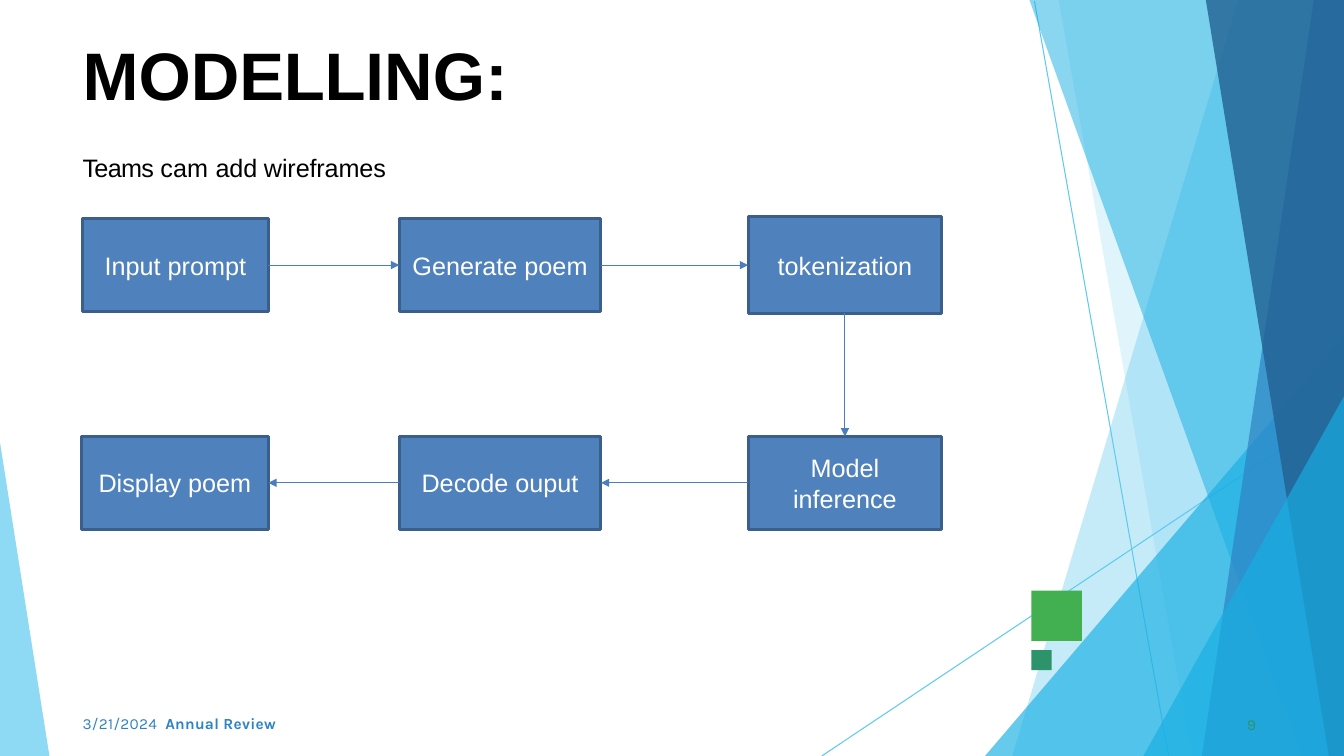
from dataclasses import dataclass

from lxml import etree
from pptx import Presentation
from pptx.dml.color import RGBColor
from pptx.enum.shapes import MSO_CONNECTOR, MSO_SHAPE
from pptx.enum.text import MSO_ANCHOR, MSO_AUTO_SIZE, PP_ALIGN
from pptx.oxml.ns import qn
from pptx.util import Inches, Pt

RECTANGLE = MSO_SHAPE.RECTANGLE
STRAIGHT = MSO_CONNECTOR.STRAIGHT
TOP, MIDDLE = MSO_ANCHOR.TOP, MSO_ANCHOR.MIDDLE
LEFT, CENTER = PP_ALIGN.LEFT, PP_ALIGN.CENTER
NO_FIT = MSO_AUTO_SIZE.NONE
SITE_TOP, SITE_LEFT, SITE_BOTTOM, SITE_RIGHT = range(4)
WIDTH, HEIGHT = 13.33, 7.5


@dataclass(frozen=True)
class Theme:
    body_font: str = "Arial"
    footer_font: str = "Karla"
    title_size: float = 48
    body_size: float = 18
    footer_size: float = 11
    black: str = "000000"
    white: str = "FFFFFF"
    sky: str = "5FCAEE"
    cyan: str = "17AFE3"
    blue: str = "2D83C3"
    navy: str = "226192"
    green: str = "42AF51"
    teal: str = "2D936B"
    step_fill: str = "4F81BD"
    step_line: str = "3A5F8C"
    arrow: str = "4B7EBC"


class SlideBuilder:
    def __init__(self, slide, theme):
        self.slide, self.shapes, self.theme = slide, slide.shapes, theme

    def paint(self, shape, fill, line=None, opacity=100):
        shape.shadow.inherit = False
        shape.fill.solid()
        shape.fill.fore_color.rgb = RGBColor.from_string(fill)
        if opacity < 100:
            color = shape._element.spPr.find(qn("a:solidFill"))[0]
            etree.SubElement(color, qn("a:alpha")).set("val", str(opacity * 1000))
        if line:
            shape.line.color.rgb = RGBColor.from_string(line)
            shape.line.width = Pt(2)
        else:
            shape.line.fill.background()

    def set_text(self, frame, spans, frame_format, para_format, font_format, color):
        """Fill a frame with one paragraph of (text, spacing, bold) spans."""
        for name, value in frame_format.items():
            setattr(frame, name, value)
        para = frame.paragraphs[0]
        for name, value in para_format.items():
            setattr(para, name, value)
        for text, spacing, bold in spans:
            span = para.add_run()
            span.text = text
            for name, value in {**font_format, "bold": bold}.items():
                setattr(span.font, name, value)
            span.font.color.rgb = RGBColor.from_string(color)
            span._r.get_or_add_rPr().set("spc", str(round(spacing * 100)))

    def label(self, shape, place, spans, font, size, color, inset=0.0, **para_format):
        for name, value in zip(("left", "top", "width", "height"), place):
            setattr(shape, name, Inches(value))
        frame_format = {
            "word_wrap": True, "auto_size": NO_FIT, "vertical_anchor": TOP,
            "margin_left": Inches(inset), "margin_top": Inches(0.01),
            "margin_right": 0, "margin_bottom": 0,
        }
        self.set_text(shape.text_frame, spans, frame_format,
                      {"alignment": LEFT, **para_format},
                      {"name": font, "size": Pt(size)}, color)

    def title(self, place, spans):
        self.label(self.shapes.title, place, spans, self.theme.body_font,
                   self.theme.title_size, self.theme.black, 0.01,
                   space_before=Pt(1.1), line_spacing=1.0)

    def text(self, place, spans, font, size, color, inset=0.0, **para_format):
        box = self.shapes.add_textbox(*map(Inches, place))
        self.label(box, place, spans, font, size, color, inset, **para_format)

    def facet(self, points, fill, opacity):
        start, *others = [(Inches(x), Inches(y)) for x, y in points]
        outline = self.shapes.build_freeform(*start)
        outline.add_line_segments(others, close=True)
        self.paint(outline.convert_to_shape(), fill, opacity=opacity)

    def square(self, left, top, side, fill):
        box = self.shapes.add_shape(RECTANGLE, *map(Inches, (left, top, side, side)))
        self.paint(box, fill)

    def step(self, text, place):
        box = self.shapes.add_shape(RECTANGLE, *map(Inches, place))
        self.paint(box, self.theme.step_fill, self.theme.step_line)
        self.set_text(box.text_frame, [(text, 0, False)],
                      {"word_wrap": True, "vertical_anchor": MIDDLE},
                      {"alignment": CENTER},
                      {"name": self.theme.body_font, "size": Pt(self.theme.body_size)},
                      self.theme.white)
        return box

    def line(self, start, end, color):
        line = self.shapes.add_connector(STRAIGHT, *map(Inches, start + end))
        line.line.color.rgb = RGBColor.from_string(color)
        line.line.width = Pt(0.75)
        etree.SubElement(line._element.spPr, qn("a:effectLst"))
        return line

    def arrow(self, source, source_site, target, target_site):
        arrow = self.line((0, 0), (1, 1), self.theme.arrow)
        arrow.begin_connect(source, source_site)
        arrow.end_connect(target, target_site)
        outline = arrow._element.spPr.find(qn("a:ln"))
        etree.SubElement(outline, qn("a:tailEnd")).set("type", "triangle")


def main():
    deck = Presentation()
    deck.slide_width, deck.slide_height = Inches(WIDTH), Inches(HEIGHT)
    theme = Theme()
    page = SlideBuilder(deck.slides.add_slide(deck.slide_layouts[5]), theme)

    # Background lines and translucent facets
    page.line((10.26, 0.01), (11.59, HEIGHT), theme.sky)
    page.line((WIDTH, 4.04), (8.15, HEIGHT), theme.sky)
    # Each facet runs from the right edge: top y, top x, bottom x
    for top, top_left, bottom_left, fill, opacity in (
        (0, 12.28, 10.04, theme.sky, 36),
        (0, 10.5, 11.82, theme.sky, 20),
        (3.33, WIDTH, 9.77, theme.cyan, 66),
        (0, 10.21, 12.91, theme.cyan, 50),
        (0, 13.03, 11.92, theme.blue, 70),
        (0, 11.96, 13.18, theme.navy, 80),
        (3.93, WIDTH, 11.34, theme.cyan, 66),
    ):
        corners = [(WIDTH, top), (top_left, top), (bottom_left, HEIGHT), (WIDTH, HEIGHT)]
        page.facet(list(dict.fromkeys(corners)), fill, opacity)
    page.facet([(0, 4.39), (0, HEIGHT), (0.49, HEIGHT)], theme.sky, 70)

    # Accent squares
    page.square(10.23, 5.86, 0.5, theme.green)
    page.square(10.23, 6.45, 0.2, theme.teal)

    # Title, subtitle and footer
    page.title((0.81, 0.32, 5.15, 0.82),
               [("MOD", 0, True), ("ELLI", -0.25, True), ("NG:", 0.2, True)])
    page.text((0.81, 1.5, 3.3, 0.33),
              [("Teams ", -0.5, False), ("cam ", 0.1, False), ("add wireframes", -0.1, False)],
              theme.body_font, theme.body_size, theme.black, 0.01, space_before=Pt(1))
    page.text((0.82, 7.08, 2.2, 0.18),
              [("3/21/2024  ", 0.2, False), ("Annual Review", 0.2, True)],
              theme.footer_font, theme.footer_size, theme.blue, line_spacing=Pt(12.8))
    page.text((12.33, 7.08, 0.25, 0.21), [("9", 0.1, False)],
              theme.footer_font, theme.footer_size, theme.teal, 0.04, space_before=Pt(0.6))

    # Process steps, in reading order of the flow
    steps = [page.step(text, place) for text, place in (
        ("Input prompt", (0.82, 2.17, 1.84, 0.92)),
        ("Generate poem", (3.96, 2.17, 2, 0.92)),
        ("tokenization", (7.42, 2.15, 1.92, 0.96)),
        ("Model inference", (7.42, 4.33, 1.92, 0.92)),
        ("Decode ouput", (3.96, 4.33, 2, 0.92)),
        ("Display poem", (0.81, 4.33, 1.85, 0.92)),
    )]

    # Arrows: right along the top, down, then back along the bottom
    rightward, downward, leftward = (
        (SITE_RIGHT, SITE_LEFT), (SITE_BOTTOM, SITE_TOP), (SITE_LEFT, SITE_RIGHT))
    directions = (rightward, rightward, downward, leftward, leftward)
    for source, target, (leave, enter) in zip(steps, steps[1:], directions):
        page.arrow(source, leave, target, enter)

    deck.save("out.pptx")


if __name__ == "__main__":
    main()
